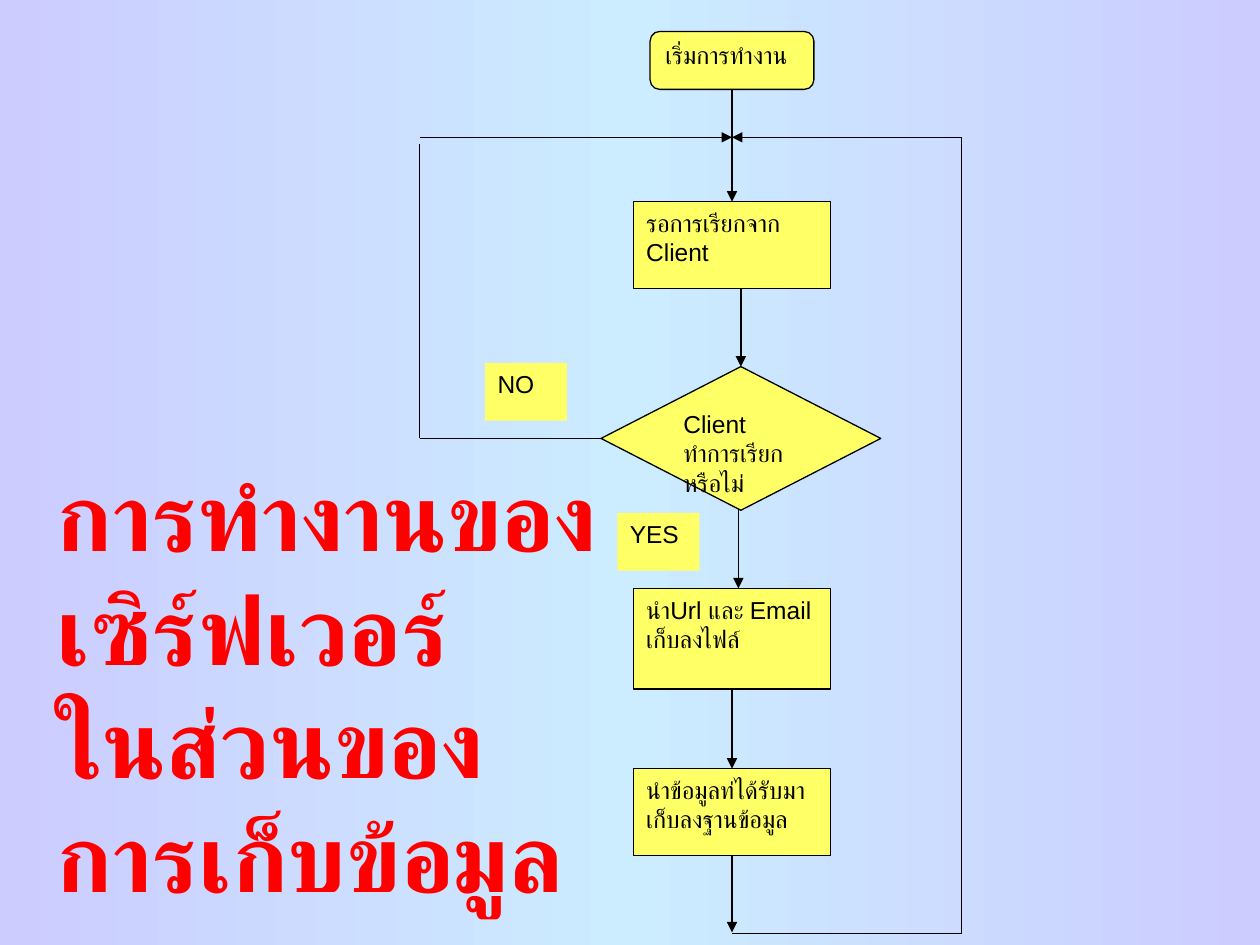
from copy import deepcopy
from dataclasses import dataclass
from typing import Optional

from pptx import Presentation
from pptx import util as u
from pptx.dml.color import RGBColor
from pptx.enum import shapes, text
from pptx.oxml.ns import qn
from pptx.oxml.xmlchemy import OxmlElement

PX = 9144  # EMU per px, 100 px to the inch
TOP, LEFT, BOTTOM = 0, 1, 2  # connection sites


@dataclass(frozen=True)
class Theme:
    ink: RGBColor = RGBColor(0x00, 0x00, 0x00)
    node: RGBColor = RGBColor(0xFF, 0xFF, 0x66)
    title: RGBColor = RGBColor(0xFF, 0x00, 0x00)
    edge: RGBColor = RGBColor(0xCC, 0xCC, 0xFF)
    middle: RGBColor = RGBColor(0xCC, 0xEC, 0xFF)
    title_font: str = "Calibri"
    node_font: str = "Arial"
    title_size: u.Pt = u.Pt(54)
    node_size: u.Pt = u.Pt(14)
    line_width: u.Pt = u.Pt(0.75)


@dataclass(frozen=True)
class Node:
    key: str
    label: str
    x: int
    y: int
    width: int
    height: int
    kind: shapes.MSO_SHAPE = shapes.MSO_SHAPE.RECTANGLE
    outlined: bool = True


@dataclass(frozen=True)
class Link:
    """A straight line; source and target name a (node, site) it is joined to."""
    start: tuple[int, int]
    end: tuple[int, int]
    arrow: bool = True
    source: Optional[tuple[str, int]] = None
    target: Optional[tuple[str, int]] = None


THEME = Theme()
TITLE = "การทำงานของ\nเซิร์ฟเวอร์\nในส่วนของ\nการเก็บข้อมูล"

AXIS = 581  # centre of the main flow
MERGE_Y, END_Y = 109, 741
NO_X, NO_Y, RETURN_X = 333, 348, 763

NODES = [
    Node("start", "เริ่มการทำงาน", 516, 25, 130, 46, shapes.MSO_SHAPE.ROUNDED_RECTANGLE),
    Node("wait", "รอการเรียกจาก Client", 503, 160, 156, 69),
    Node("called", "Client ทำการเรียกหรือไม่", 477, 291, 222, 114,
         shapes.MSO_SHAPE.FLOWCHART_DECISION),
    Node("file", "นำUrl และ Email เก็บลงไฟล์", 503, 467, 156, 80),
    Node("yes", "YES", 490, 407, 65, 46, outlined=False),
    Node("no", "NO", 385, 288, 65, 46, outlined=False),
    Node("database", "นำข้อมูลท่ได้รับมาเก็บลงฐานข้อมูล", 503, 610, 156, 69),
]

LINKS = [
    Link((AXIS, 71), (AXIS, 160), source=("start", BOTTOM), target=("wait", TOP)),
    Link((588, 229), (588, 291), target=("called", TOP)),
    Link((586, 404), (586, 467)),
    Link((AXIS, 547), (AXIS, 610), source=("file", BOTTOM), target=("database", TOP)),
    Link((AXIS, 679), (AXIS, 740), source=("database", BOTTOM)),
    # Return loop from the end of the flow
    Link((AXIS, END_Y), (RETURN_X, END_Y), arrow=False),
    Link((RETURN_X, END_Y), (RETURN_X, MERGE_Y), arrow=False),
    Link((RETURN_X, MERGE_Y), (AXIS, MERGE_Y)),
    # Loop for the answer NO
    Link((477, NO_Y), (NO_X, NO_Y), arrow=False, source=("called", LEFT)),
    Link((NO_X, NO_Y), (NO_X, 114), arrow=False),
    Link((NO_X, MERGE_Y), (AXIS, MERGE_Y)),
]


def paint_background(slide) -> None:
    fill = slide.background.fill
    fill.gradient()
    fill.gradient_angle = 180
    for stop in fill.gradient_stops:
        stop.color.rgb = THEME.edge
    stop_list = next(slide.element.iter(qn("a:gsLst")))
    stop_list.insert(1, deepcopy(stop_list[0]))
    middle = fill.gradient_stops[1]
    middle.position = 0.5
    middle.color.rgb = THEME.middle


def format_text(frame, font_name: str, size: u.Pt, color: RGBColor, bold: bool = False) -> None:
    frame.vertical_anchor = text.MSO_ANCHOR.TOP
    for paragraph in frame.paragraphs:
        paragraph.alignment = text.PP_ALIGN.LEFT
        for run in paragraph.runs:
            run.font.name = font_name
            run.font.size = size
            run.font.bold = bold
            run.font.color.rgb = color


def place_title(slide) -> None:
    title = slide.shapes.title
    title.left, title.top, title.width, title.height = (
        n * PX for n in (35, 358, 480, 370))
    frame = title.text_frame
    frame.text = TITLE
    frame.word_wrap = True
    frame.auto_size = text.MSO_AUTO_SIZE.NONE
    format_text(frame, THEME.title_font, THEME.title_size, THEME.title, bold=True)


def draw_node(slide, node: Node):
    shape = slide.shapes.add_shape(
        node.kind, *(n * PX for n in (node.x, node.y, node.width, node.height)))
    shape.shadow.inherit = False
    shape.fill.solid()
    shape.fill.fore_color.rgb = THEME.node
    if node.outlined:
        shape.line.color.rgb = THEME.ink
        shape.line.width = THEME.line_width
    else:
        shape.line.fill.background()
    shape.text_frame.text = node.label
    shape.text_frame.word_wrap = True
    format_text(shape.text_frame, THEME.node_font, THEME.node_size, THEME.ink)
    return shape


def draw_link(slide, link: Link, drawn: dict) -> None:
    connector = slide.shapes.add_connector(
        shapes.MSO_CONNECTOR.STRAIGHT, *(n * PX for n in link.start + link.end))
    if link.source:
        key, site = link.source
        connector.begin_connect(drawn[key], site)
    if link.target:
        key, site = link.target
        connector.end_connect(drawn[key], site)
    connector.line.color.rgb = THEME.ink
    connector.line.width = THEME.line_width
    if link.arrow:
        head = OxmlElement("a:tailEnd")
        head.set("type", "triangle")
        connector.line._get_or_add_ln().append(head)
    connector.element.spPr.append(OxmlElement("a:effectLst"))


def main() -> None:
    deck = Presentation()
    deck.slide_width, deck.slide_height = 1000 * PX, 750 * PX
    slide = deck.slides.add_slide(deck.slide_layouts[5])  # title only
    paint_background(slide)
    place_title(slide)
    drawn = {node.key: draw_node(slide, node) for node in NODES}
    for link in LINKS:
        draw_link(slide, link, drawn)
    deck.save("out.pptx")


if __name__ == "__main__":
    main()
